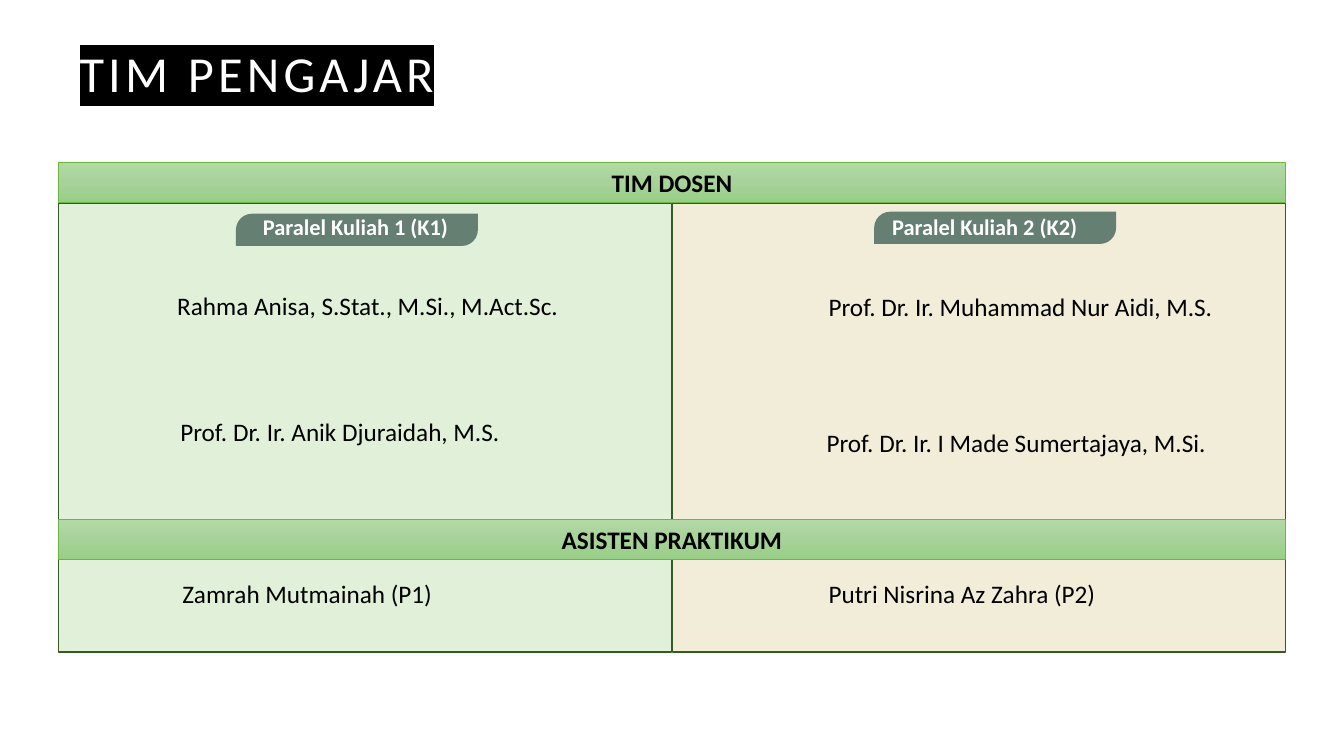
from copy import deepcopy

from lxml import etree
from pptx import Presentation
from pptx.dml.color import RGBColor
from pptx.enum import shapes, text
from pptx.oxml import ns
from pptx.util import Emu, Pt

PX = 9144  # 100 px to the inch
FONT = "Calibri"
BLACK = RGBColor(0x00, 0x00, 0x00)
WHITE = RGBColor(0xFF, 0xFF, 0xFF)
SAGE = RGBColor(0x65, 0x80, 0x73)
DARK_GREEN = RGBColor(0x34, 0x5B, 0x22)
BAR_LINE = RGBColor(0x69, 0xB6, 0x43)
BAR_STOPS = [RGBColor(0xB3, 0xD9, 0xA7), RGBColor(0xA7, 0xD2, 0x99), RGBColor(0x98, 0xCF, 0x86)]
PALE_GREEN = RGBColor(0xE1, 0xF1, 0xD9)
CREAM = RGBColor(0xF1, 0xED, 0xD9)

TITLE = "TIM PENGAJAR"
LEFT, PANEL_TOP, PANEL_WIDTH, PANEL_HEIGHT = 58, 202, 608, 445
PANELS = [CREAM, PALE_GREEN]  # right panel lies behind the left one
BARS = [("TIM DOSEN", 161), ("ASISTEN PRAKTIKUM", 515)]
BAR_HEIGHT = 40
TAGS = [  # label, label left, tag left, tag top
    ("Paralel Kuliah 1 (K1)", 251, 234, 212),
    ("Paralel Kuliah 2 (K2)", 875, 867, 210),
]
NAMES = [  # name, left, top, width, height
    ("Rahma Anisa, S.Stat., M.Si., M.Act.Sc.", 166, 283, 564, 68),
    ("Prof. Dr. Ir. Muhammad Nur Aidi, M.S.", 812, 284, 567, 84),
    ("Prof. Dr. Ir. Anik Djuraidah, M.S.", 169, 408, 567, 84),
    ("Prof. Dr. Ir. I Made Sumertajaya, M.Si.", 810, 419, 567, 84),
    ("Zamrah Mutmainah (P1)", 171, 569, 458, 40),
    ("Putri Nisrina Az Zahra (P2)", 812, 569, 550, 40),
]


def px(*lengths):
    return [Emu(length * PX) for length in lengths]


def write(shape, words, size, color, bold=False):
    """Put one line of text in the shape and return its paragraph."""
    frame = shape.text_frame
    frame.word_wrap = True
    frame.text = words
    paragraph = frame.paragraphs[0]
    font = paragraph.runs[0].font
    font.name, font.size, font.bold = FONT, Pt(size), bold
    font.color.rgb = color
    return paragraph


def add_text(slide, box, words, size, color, bold=False):
    return write(slide.shapes.add_textbox(*px(*box)), words, size, color, bold)


def add_filled(slide, kind, box, fill=None, line=None, line_width=1):
    shape = slide.shapes.add_shape(kind, *px(*box))
    shape.shadow.inherit = False
    if fill is not None:
        shape.fill.solid()
        shape.fill.fore_color.rgb = fill
    if line is None:
        shape.line.fill.background()
    else:
        shape.line.color.rgb = line
        shape.line.width = Pt(line_width)
    return shape


def add_title(slide):
    paragraph = add_text(slide, (69, 23, 1162, 84), TITLE, 36, WHITE)
    paragraph.line_spacing = 1.2
    properties = paragraph.runs[0].font._element
    properties.set("spc", "300")
    highlight = etree.Element(ns.qn("a:highlight"))
    etree.SubElement(highlight, ns.qn("a:srgbClr"), val=str(BLACK))
    properties.find(ns.qn("a:solidFill")).addnext(highlight)
    return paragraph


def add_bar(slide, words, top):
    box = (LEFT, top, 2 * PANEL_WIDTH + 1, BAR_HEIGHT)
    bar = add_filled(slide, shapes.MSO_SHAPE.RECTANGLE, box, line=BAR_LINE, line_width=0.5)
    bar.fill.gradient()
    bar.fill.gradient_angle = 270
    first = bar._element.spPr.find(".//" + ns.qn("a:gs"))
    first.addnext(deepcopy(first))
    for index, (stop, color) in enumerate(zip(bar.fill.gradient_stops, BAR_STOPS)):
        stop.position = index / 2
        stop.color.rgb = color
    write(bar, words, 18, BLACK, True).alignment = text.PP_ALIGN.CENTER


def main():
    presentation = Presentation()
    presentation.slide_width, presentation.slide_height = px(1333, 750)
    slide = presentation.slides.add_slide(presentation.slide_layouts[6])

    for column, fill in zip((1, 0), PANELS):
        box = (LEFT + column * (PANEL_WIDTH + 1), PANEL_TOP, PANEL_WIDTH, PANEL_HEIGHT)
        add_filled(slide, shapes.MSO_SHAPE.RECTANGLE, box, fill, DARK_GREEN)

    add_title(slide)
    slide.shapes[-1].text_frame.vertical_anchor = text.MSO_ANCHOR.BOTTOM

    for name, *box in NAMES:
        add_text(slide, box, name, 18, BLACK)
    for words, top in BARS:
        add_bar(slide, words, top)
    for label, label_left, tag_left, tag_top in TAGS:
        tag = add_filled(slide, shapes.MSO_SHAPE.ROUND_2_DIAG_RECTANGLE,
                         (tag_left, tag_top, 240, 32), SAGE)
        tag.adjustments[0], tag.adjustments[1] = 0.5, 0
        add_text(slide, (label_left, 207, 224, 37), label, 16, WHITE, True)

    presentation.save("out.pptx")


if __name__ == "__main__":
    main()
